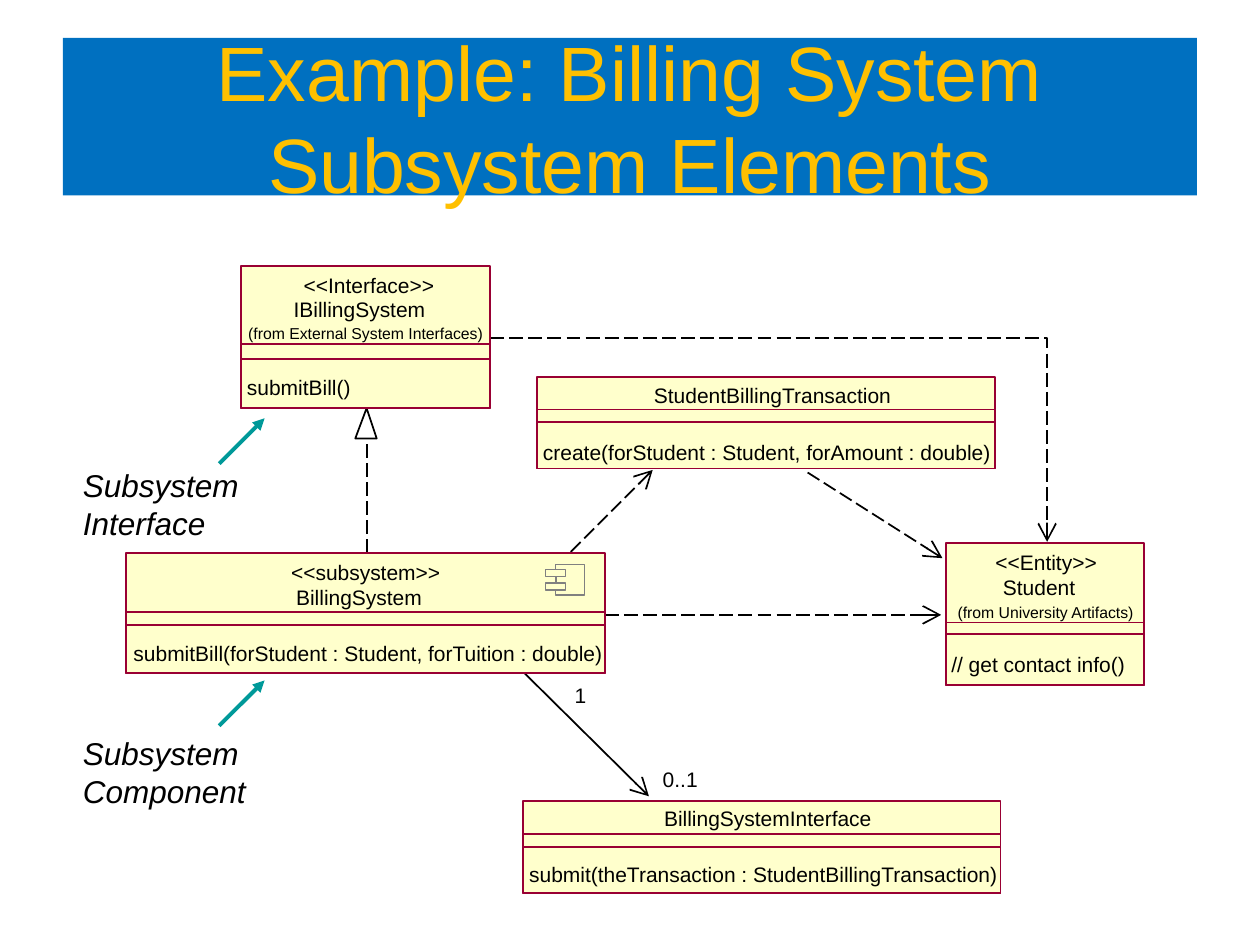
from lxml.etree import SubElement as Sub
from pptx import Presentation
from pptx.dml.color import RGBColor
from pptx.enum.dml import MSO_LINE
from pptx.enum.shapes import MSO_CONNECTOR as Link, MSO_SHAPE as Kind
from pptx.enum.text import MSO_ANCHOR as Anchor, MSO_AUTO_SIZE as Fit, PP_ALIGN as Align
from pptx.oxml.ns import qn
from pptx.util import Inches, Pt


def color(code):
    return RGBColor.from_string(code)


class Sheet:
    """Draws UML parts on a grid of 100 columns by 75 rows."""

    font, ink, edge, paper, gray = "Arial", "000000", "990033", "FFFFCC", "808080"
    heads = {"arrow": "lg", "triangle": "med"}

    def __init__(self, deck):
        deck.slide_width, deck.slide_height = Inches(10), Inches(7.5)
        self.unit = deck.slide_width / 100
        self.shapes = deck.slides.add_slide(deck.slide_layouts[6]).shapes

    def grid(self, *cells):
        return [round(cell * self.unit) for cell in cells]

    def style(self, para, size, tone=None, slant=False):
        for run in para.runs:
            font = run.font
            font.name, font.size, font.italic = self.font, Pt(size), slant
            font.color.rgb = color(tone or self.ink)

    def stroke(self, item, tone, width=1, dash=False, head=None):
        item.line.color.rgb = color(tone)
        item.line.width = Pt(width)
        if dash:
            item.line.dash_style = MSO_LINE.LONG_DASH
        if head:
            size = self.heads[head]
            edge = item._element.spPr.find(qn("a:ln"))
            Sub(edge, qn("a:tailEnd"), type=head, w=size, len=size)

    def rect(self, x, y, w, h, fill=None, tone=None):
        box = self.shapes.add_shape(Kind.RECTANGLE, *self.grid(x, y, w, h))
        box.shadow.inherit = False
        if fill:
            box.fill.solid()
            box.fill.fore_color.rgb = color(fill)
        else:
            box.fill.background()
        if tone:
            self.stroke(box, tone)
        else:
            box.line.fill.background()
        return box

    def title(self, text):
        frame = self.rect(5, 3, 90, 12.5, "0070C0").text_frame
        frame.word_wrap, frame.vertical_anchor = True, Anchor.MIDDLE
        frame.text = text
        para = frame.paragraphs[0]
        para.alignment = Align.CENTER
        self.style(para, 44, "FFC000")

    def line(self, start, end, tone=None, **look):
        item = self.shapes.add_connector(Link.STRAIGHT, *self.grid(*start, *end))
        self.stroke(item, tone or self.ink, **look)
        Sub(item._element.spPr, qn("a:effectLst"))

    def route(self, dots, tone=None, close=False, **look):
        first, *rest = [self.grid(*dot) for dot in dots]
        pen = self.shapes.build_freeform(*first)
        pen.add_line_segments(rest, close=close)
        item = pen.convert_to_shape()
        item.shadow.inherit = False
        item.fill.background()
        self.stroke(item, tone or self.ink, **look)

    def label(self, x, y, w, text, size=12):
        box = self.shapes.add_textbox(*self.grid(x, y, w, size / 6))
        frame = box.text_frame
        frame.margin_left = frame.margin_right = 0
        frame.margin_top = frame.margin_bottom = 0
        frame.word_wrap, frame.auto_size = False, Fit.SHAPE_TO_FIT_TEXT
        frame.text = text
        self.style(frame.paragraphs[0], size)

    def note(self, x, y, w, text):
        frame = self.shapes.add_textbox(*self.grid(x, y, w, 7)).text_frame
        frame.word_wrap = True
        frame.text = text
        self.style(frame.paragraphs[0], 18, slant=True)

    def block(self, x, w, tops, base, labels):
        for top in tops:
            self.rect(x, top, w, base - top, self.paper, self.edge)
        for item in labels:
            self.label(*item)

    def icon(self, x, y):
        for top in (y + 0.4, y + 1.5):
            self.rect(x, top, 1.6, 0.55, tone=self.gray)
        mid, end = x + 0.8, x + 3.1
        self.route([(mid, y + 0.4), (mid, y), (end, y), (end, y + 2.4),
                    (mid, y + 2.4), (mid, y + 2.1)], self.gray)
        self.line((mid, y + 1), (mid, y + 1.4), self.gray)


BLOCKS = [
    (42.6, 36.4, (29.9, 32.5, 33.5), 37.2, [
        (51.9, 30.4, 18.9, "StudentBillingTransaction"),
        (43.1, 34.9, 35.6, "create(forStudent : Student, forAmount : double)")]),
    (75.1, 15.7, (43.1, 49.4, 50.3), 54.4, [
        (79, 43.6, 8.1, "<<Entity>>"),
        (79.6, 45.6, 5.8, "Student"),
        (76, 47.8, 14, "(from University Artifacts)", 9),
        (75.5, 51.7, 13.8, "// get contact info()")]),
    (10, 38, (43.9, 48.6, 49.6), 53.4, [
        (23.1, 44.4, 11.9, "<<subsystem>>"),
        (23.5, 46.4, 10, "BillingSystem"),
        (10.6, 50.8, 37.3, "submitBill(forStudent : Student, forTuition : double)")]),
    (41.5, 37.9, (63.6, 66.2, 67.2), 70.9, [
        (52.7, 63.9, 16.5, "BillingSystemInterface"),
        (42, 68.4, 37.3, "submit(theTransaction : StudentBillingTransaction)")]),
    (19.1, 19.8, (21.1, 27.3, 28.5), 32.4, [
        (24.1, 21.6, 10.4, "<<Interface>>"),
        (23.3, 23.5, 10.5, "IBillingSystem"),
        (19.7, 25.7, 18.9, "(from External System Interfaces)", 9),
        (19.6, 29.7, 8.5, "submitBill()")]),
]
USES = [((64.1, 37.5), (74.8, 44.3)), ((45.3, 43.8), (51.8, 37.3)),
        ((48, 48.8), (74.7, 48.8))]
NOTES = [(36.5, 23.1, "Subsystem Interface", 36.8),
         (57.8, 20, "Subsystem Component", 57.6)]


def main():
    deck = Presentation()
    sheet = Sheet(deck)
    sheet.title("Example: Billing System Subsystem Elements")
    for start, end in USES:
        sheet.line(start, end, dash=True, head="arrow")
    sheet.line((29.1, 43.9), (29.1, 34.8), dash=True)
    sheet.route([(29.1, 32.4), (29.9, 34.8), (28.2, 34.8)], close=True)
    sheet.route([(38.9, 26.8), (83.1, 26.8), (83.1, 43)], dash=True, head="arrow")
    sheet.line((41.6, 53.4), (51.5, 63.2), head="arrow")
    for block in BLOCKS:
        sheet.block(*block)
    sheet.icon(43.3, 44.8)
    sheet.label(45.6, 54.2, 0.9, "1")
    sheet.label(52.6, 60.8, 2.8, "0..1")
    for y, w, text, foot in NOTES:
        sheet.note(5.6, y, w, text)
        sheet.line((17.4, foot), (21, foot - 3.6), "009999", width=2.25, head="triangle")
    deck.save("out.pptx")


if __name__ == "__main__":
    main()
